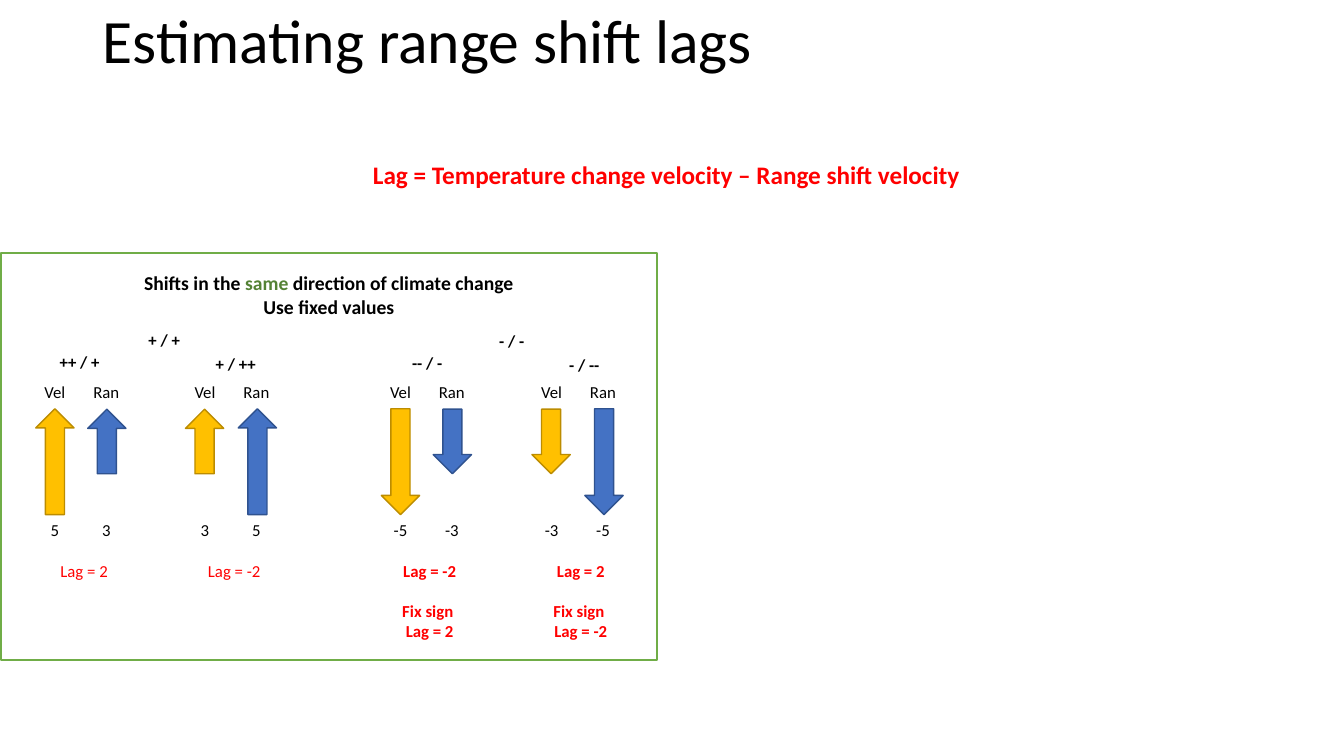
from pptx import Presentation
from pptx.dml.color import RGBColor
from pptx.enum.shapes import MSO_SHAPE
from pptx.enum.text import MSO_ANCHOR, MSO_AUTO_SIZE, PP_ALIGN
from pptx.util import Pt

PX = 9144
HUES = {
    "black": "000000", "red": "FF0000", "green": "548235", "frame": "70AD47",
    "gold": "FFC000", "bronze": "BC8C00", "blue": "4472C4", "navy": "2F528F",
}


def write(para, runs, size, bold=False):
    for words, hue in runs:
        run = para.add_run()
        run.text = words
        run.font.name = "Calibri"
        run.font.size = Pt(size)
        run.font.bold = bold
        run.font.color.rgb = RGBColor.from_string(HUES[hue])


def label(box, lines, size=12, bold=False, wrap=True):
    frame = slide.shapes.add_textbox(*[n * PX for n in box]).text_frame
    frame.word_wrap = wrap
    frame.auto_size = MSO_AUTO_SIZE.SHAPE_TO_FIT_TEXT
    for i, runs in enumerate(lines):
        para = frame.add_paragraph() if i else frame.paragraphs[0]
        para.alignment = PP_ALIGN.CENTER
        write(para, runs, size, bold)
    return frame


deck = Presentation()
deck.slide_width = 1334 * PX
deck.slide_height = 750 * PX
slide = deck.slides.add_slide(deck.slide_layouts[5])

title = slide.shapes.title
title.left, title.top, title.width, title.height = [n * PX for n in (92, 0, 1150, 86)]
title.text_frame.auto_size = MSO_AUTO_SIZE.NONE
title.text_frame.vertical_anchor = MSO_ANCHOR.MIDDLE
head = title.text_frame.paragraphs[0]
head.alignment = PP_ALIGN.LEFT
head.line_spacing = 0.9
write(head, [("Estimating range shift lags", "black")], 44)

rule = "Lag = Temperature change velocity – Range shift velocity"
label((357, 153, 609, 40), [[(rule, "red")]], 18, True)

signs = [
    ("+ / +", 66, 322), ("++ / +", -18, 344), ("+ / ++", 137, 346),
    ("- / -", 411, 323), ("-- / -", 327, 345), ("- / --", 483, 347),
]
for words, left, top in signs:
    label((left, top, 194, 30), [[(words, "black")]], bold=True)

SPAN = {5: 105, 3: 64}
cases = [(34, 5, 3), (183, 3, 5), (377, -5, -3), (527, -3, -5)]
for x, vel, ran in cases:
    bars = [
        ("Vel", vel, 0, 41, 20, "gold", "bronze"),
        ("Ran", ran, 46, 51, 72, "blue", "navy"),
    ]
    for name, value, shift, wide, mid, fill, edge in bars:
        span = SPAN[abs(value)]
        half = span // 2
        box = (x + mid - half, 406 + half - 19, span, 38)
        arrow = slide.shapes.add_shape(MSO_SHAPE.RIGHT_ARROW, *[n * PX for n in box])
        arrow.rotation = 270 if value > 0 else 90
        arrow.shadow.inherit = False
        arrow.fill.solid()
        arrow.fill.fore_color.rgb = RGBColor.from_string(HUES[fill])
        arrow.line.color.rgb = RGBColor.from_string(HUES[edge])
        arrow.line.width = Pt(1)
        for words, top in ((name, 374), (str(value), 511)):
            label((x + shift, top, wide, 30), [[(words, "black")]])

    lag = vel - ran
    lines = [[(f"Lag = {lag}", "red")]]
    fix = vel < 0
    if fix:
        lines += [[("Fix sign ", "red")], [(f"Lag = {-lag}", "red")]]
    note = label((x - 25, 551, 149, 90 if fix else 30), lines, bold=fix)
    if fix:
        note.paragraphs[1].space_before = Pt(14.6)

panel = slide.shapes.add_shape(MSO_SHAPE.RECTANGLE, *[n * PX for n in (1, 251, 651, 404)])
panel.shadow.inherit = False
panel.fill.background()
panel.line.color.rgb = RGBColor.from_string(HUES["frame"])
panel.line.width = Pt(1)

topic = [
    [("Shifts in the ", "black"), ("same", "green"), (" direction of climate change", "black")],
    [("Use fixed values", "black")],
]
label((133, 264, 387, 57), topic, 14, True, False)

deck.save("out.pptx")
